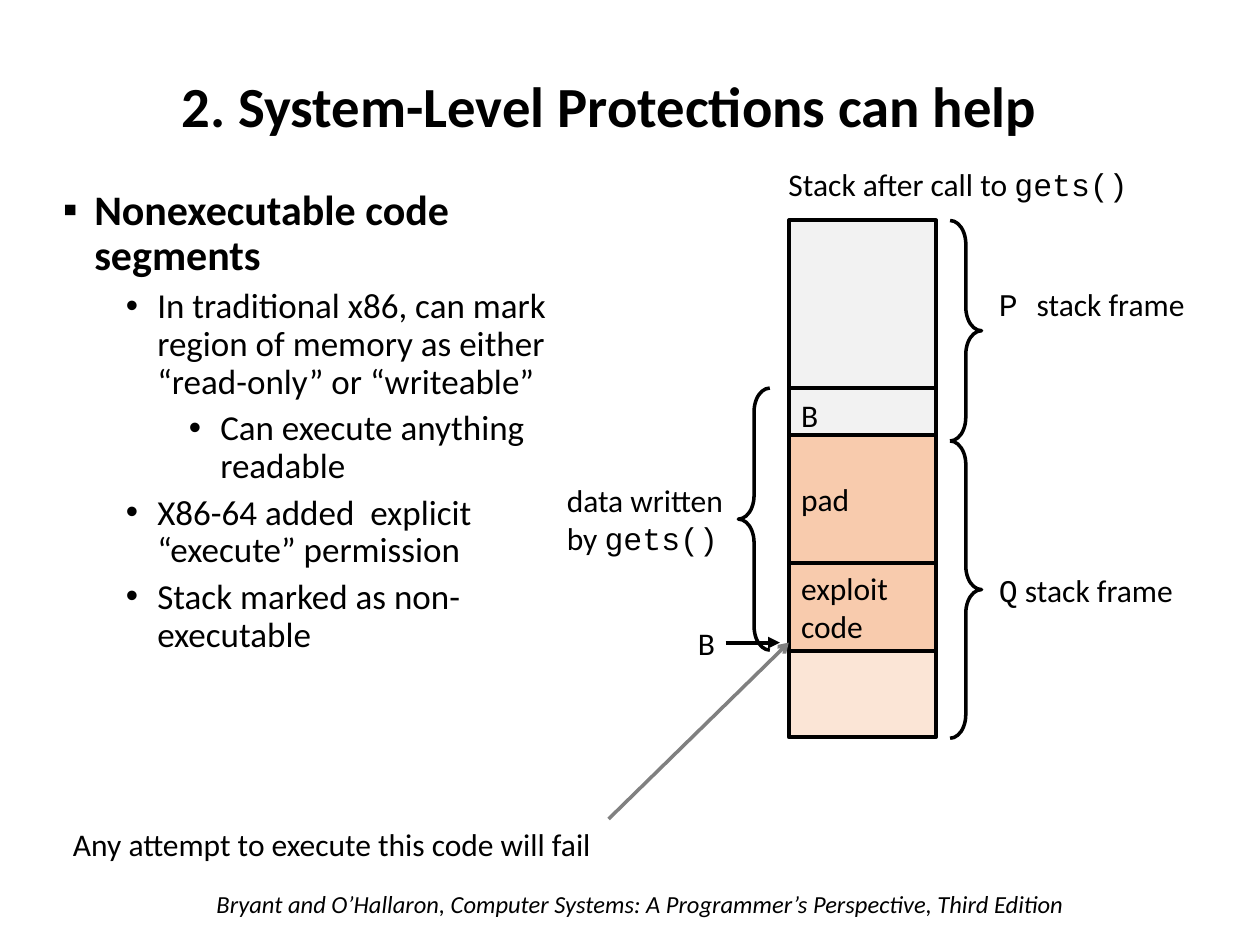
from lxml.etree import SubElement
from pptx import Presentation
from pptx.dml.color import RGBColor
from pptx.enum.shapes import MSO_CONNECTOR, MSO_SHAPE
from pptx.enum.text import MSO_ANCHOR, PP_ALIGN
from pptx.oxml.ns import qn
from pptx.util import Inches, Pt

COLORS = {"black": "000000", "grey": "808080", "caller": "F2F2F2",
          "written": "F8CBAD", "callee": "FBE5D6"}
SANS, MONO = "Calibri", "Courier New"


def color(name):
    return RGBColor.from_string(COLORS[name])


def write(frame, lines, size=18, bold=False, italic=False):
    """Fill a frame; each line is a list of (text, font name) runs."""
    for i, line in enumerate(lines):
        paragraph = frame.paragraphs[0] if i == 0 else frame.add_paragraph()
        for text, font_name in line:
            run = paragraph.add_run()
            run.text = text
            run.font.name = font_name
            run.font.size = Pt(size)
            run.font.bold = bold
            run.font.italic = italic
            run.font.color.rgb = color("black")


prs = Presentation()
prs.slide_width, prs.slide_height = Inches(10), Inches(7.5)
slide = prs.slides.add_slide(prs.slide_layouts[5])
shapes = slide.shapes

# Title
title = shapes.title
title.left, title.top = Inches(0.42), Inches(0.58)
title.width, title.height = Inches(8.83), Inches(0.58)
title.text_frame.vertical_anchor = MSO_ANCHOR.MIDDLE
write(title.text_frame, [[("2. System-Level Protections can help", SANS)]], 32.4, bold=True)
title.text_frame.paragraphs[0].alignment = PP_ALIGN.CENTER
title.text_frame.paragraphs[0].line_spacing = 0.9

# Bullet list: level, text
points = [
    (0, "Nonexecutable code segments"),
    (1, "In traditional x86, can mark region of memory as either “read-only” or “writeable”"),
    (2, "Can execute anything readable"),
    (1, "X86-64 added  explicit “execute” permission"),
    (1, "Stack marked as non-executable"),
]
body = shapes.add_textbox(Inches(0.4), Inches(1.45), Inches(4.43), Inches(5.71)).text_frame
body.word_wrap = True
write(body, [[(text, SANS)] for _, text in points], 20)
for paragraph, (level, _) in zip(body.paragraphs, points):
    paragraph.level = level
    properties = paragraph._p.get_or_add_pPr()
    properties.set("marL", str(Inches(0.25 + 0.5 * level)))
    properties.set("indent", str(Inches(-0.25)))
    SubElement(properties, qn("a:buFont"), typeface="Arial")
    SubElement(properties, qn("a:buChar"), char="•" if level else "▪")
    paragraph.line_spacing = 0.9
    if level:
        paragraph.space_before = Pt(5)
    else:
        paragraph.runs[0].font.size = Pt(24)
        paragraph.runs[0].font.bold = True

# Stack cells: top, height, fill, lines
cells = [
    (3.08, 0.42, "caller", ["B"]),
    (1.75, 1.33, "caller", []),
    (5.17, 0.68, "callee", []),
    (4.46, 0.71, "written", ["exploit", "code"]),
    (3.45, 1.02, "written", ["pad"]),
]
for top, height, fill, lines in cells:
    cell = shapes.add_shape(MSO_SHAPE.RECTANGLE, Inches(6.26), Inches(top),
                            Inches(1.17), Inches(height))
    cell.shadow.inherit = False
    cell.fill.solid()
    cell.fill.fore_color.rgb = color(fill)
    cell.line.color.rgb = color("black")
    cell.line.width = Pt(2.25)
    cell.text_frame.vertical_anchor = MSO_ANCHOR.MIDDLE
    write(cell.text_frame, [[(line, SANS)] for line in lines])
    for paragraph in cell.text_frame.paragraphs:
        paragraph.alignment = PP_ALIGN.LEFT

# Braces around the frames and the written data
braces = [
    (MSO_SHAPE.RIGHT_BRACE, 7.54, 1.75, 1.75),
    (MSO_SHAPE.RIGHT_BRACE, 7.54, 3.5, 2.36),
    (MSO_SHAPE.LEFT_BRACE, 5.86, 3.08, 2.08),
]
for kind, left, top, height in braces:
    brace = shapes.add_shape(kind, Inches(left), Inches(top), Inches(0.25), Inches(height))
    brace.shadow.inherit = False
    brace.adjustments[0] = 0.75
    brace.fill.background()
    brace.line.color.rgb = color("black")
    brace.line.width = Pt(2)

# Arrows: from, to, colour, width, head
arrows = [
    ((5.76, 5.1), (6.19, 5.1), "black", 2.25, "triangle"),
    ((4.83, 6.5), (6.26, 5.1), "grey", 2, "arrow"),
]
for start, end, line_color, width, head in arrows:
    arrow = shapes.add_connector(MSO_CONNECTOR.STRAIGHT, *map(Inches, start + end))
    arrow.line.color.rgb = color(line_color)
    arrow.line.width = Pt(width)
    SubElement(arrow.line._get_or_add_ln(), qn("a:tailEnd"), type=head)
    SubElement(arrow._element.spPr, qn("a:effectLst"))

# Labels: left, top, width, height, lines
labels = [
    (6.16, 1.26, 2.93, 0.4, [[("Stack after call to ", SANS), ("gets()", MONO)]]),
    (7.83, 2.21, 1.7, 0.4, [[("P ", MONO), ("stack frame", SANS)]]),
    (7.83, 4.48, 1.61, 0.4, [[("Q", MONO), (" stack frame", SANS)]]),
    (5.44, 4.9, 0.34, 0.4, [[("B", SANS)]]),
    (4.4, 3.77, 1.5, 0.71, [[("data written", SANS)], [("by ", SANS), ("gets()", MONO)]]),
    (0.29, 6.5, 4.5, 0.4, [[("Any attempt to execute this code will fail", SANS)]]),
]
for left, top, width, height, lines in labels:
    label = shapes.add_textbox(Inches(left), Inches(top), Inches(width), Inches(height))
    label.text_frame.word_wrap = len(lines) > 1
    write(label.text_frame, lines)
label.text_frame.paragraphs[0].alignment = PP_ALIGN.RIGHT

# Source line
source = shapes.add_textbox(Inches(1.62), Inches(7.01), Inches(7.1), Inches(0.34))
source.text_frame.word_wrap = True
write(source.text_frame, [[(
    "Bryant and O’Hallaron, Computer Systems: A Programmer’s Perspective, Third Edition",
    SANS)]], 14, italic=True)

prs.save("out.pptx")
